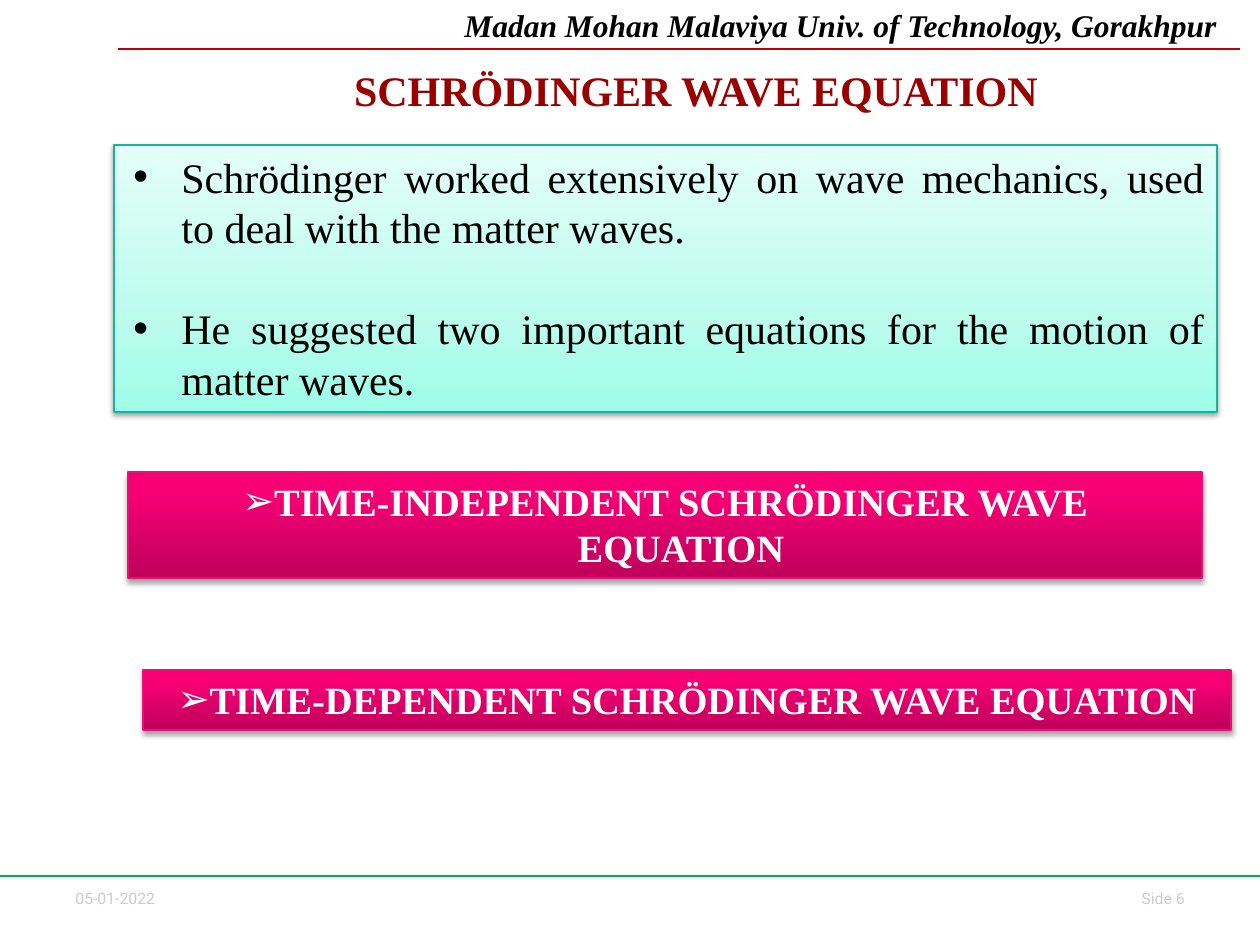
from copy import deepcopy
from pptx import Presentation
from pptx.dml.color import RGBColor
from pptx.enum.shapes import MSO_CONNECTOR as Conn, MSO_SHAPE as Kind
from pptx.enum.text import MSO_ANCHOR as Anchor, PP_ALIGN as Align
from pptx.oxml.ns import qn
from pptx.util import Pt
from lxml.etree import SubElement as sub

PX = 914400 / 126
SERIF = "Times New Roman"
MINT = [(0, "9DFDE8"), (35, "BBFCED"), (100, "E4FFF9")]
PINK = [(0, "BE005A"), (80, "F70075"), (100, "F80076")]


def px(n):
    return round(n * PX)


def hue(code):
    return RGBColor.from_string(code)


def add_run(para, text, size, color, face=SERIF, bold=False, slant=False):
    run = para.add_run()
    run.text = text
    font = run.font
    font.size, font.name = Pt(size), face
    font.bold, font.italic = bold, slant
    font.color.rgb = hue(color)


def label(slide, box, text, size, color, align=Align.LEFT, **look):
    shape = slide.shapes.add_textbox(*map(px, box))
    frame = shape.text_frame
    frame.word_wrap = True
    frame.vertical_anchor = Anchor.MIDDLE
    para = frame.paragraphs[0]
    para.alignment = align
    add_run(para, text, size, color, **look)


def rule(slide, left, right, y, color):
    line = slide.shapes.add_connector(Conn.STRAIGHT, px(left), px(y), px(right), px(y))
    line.line.color.rgb = hue(color)
    line.line.width = Pt(0.75)
    sub(line._element.spPr, qn("a:effectLst"))


def shade(shape, stops):
    fill = shape.fill
    fill.gradient()
    fill.gradient_angle = 90
    first = shape._element.spPr.find(".//" + qn("a:gs"))
    first.addnext(deepcopy(first))
    for stop, (pos, color) in zip(fill.gradient_stops, stops):
        stop.position = pos / 100
        stop.color.rgb = hue(color)


def cast(shape, alpha, dist):
    shape.shadow.inherit = False
    glow = shape._element.spPr.find(qn("a:effectLst"))
    drop = sub(glow, qn("a:outerShdw"), blurRad=str(Pt(3.1)), dist=str(Pt(dist)),
               dir="5400000", rotWithShape="0")
    tone = sub(drop, qn("a:srgbClr"), val="000000")
    sub(tone, qn("a:alpha"), val=str(alpha * 1000))


def bullet(para, mark, left, hang):
    props = para._p.get_or_add_pPr()
    props.set("marL", str(px(left)))
    props.set("indent", str(px(-hang)))
    sub(props, qn("a:buFont"), typeface="Arial")
    sub(props, qn("a:buChar"), char=mark)


def panel(slide, box, stops, edge, alpha, dist):
    shape = slide.shapes.add_shape(Kind.RECTANGLE, *map(px, box))
    shade(shape, stops)
    shape.line.color.rgb = hue(edge)
    shape.line.width = Pt(0.75)
    cast(shape, alpha, dist)
    frame = shape.text_frame
    frame.word_wrap = True
    frame.vertical_anchor = Anchor.TOP
    return frame


def facts(slide, box, items):
    frame = panel(slide, box, MINT, "16B39E", 38, 1.6)
    for i, text in enumerate(items):
        para = frame.add_paragraph() if i else frame.paragraphs[0]
        para.alignment = Align.JUSTIFY
        para.space_before = Pt(29 if i else 0)
        bullet(para, "•", 55, 48)
        add_run(para, text, 24, "000000")


def banner(slide, box, text, hang):
    frame = panel(slide, box, PINK, "EA0F77", 35, 1.8)
    para = frame.paragraphs[0]
    para.alignment = Align.CENTER
    bullet(para, "➢", hang, hang)
    add_run(para, text, 22, "FFFFFF", bold=True)


def header(slide):
    label(slide, (452, 0, 808, 50), "Madan Mohan Malaviya Univ. of Technology, Gorakhpur",
          18, "000000", bold=True, slant=True)
    rule(slide, 118, 1240, 49, "C00000")
    label(slide, (213, 55, 966, 69), "SCHRÖDINGER WAVE EQUATION",
          24, "990000", Align.CENTER, bold=True)


def footer(slide):
    rule(slide, 0, 1260, 876, "00B050")
    label(slide, (63, 882, 130, 32), "05-01-2022", 9, "CCCCCC", face="Roboto")
    label(slide, (1092, 882, 105, 32), "Side 6", 9, "CCCCCC", Align.RIGHT, face="Roboto")


def main():
    deck = Presentation()
    deck.slide_width, deck.slide_height = px(1260), px(945)
    slide = deck.slides.add_slide(deck.slide_layouts[6])
    header(slide)
    facts(slide, (114, 145, 1103, 267), [
        "Schrödinger worked extensively on wave mechanics, used to deal with the matter waves.",
        "He suggested two important equations for the motion of matter waves.",
    ])
    banner(slide, (128, 472, 1074, 106), "TIME-INDEPENDENT SCHRÖDINGER WAVE EQUATION", 32)
    banner(slide, (143, 670, 1088, 60), "TIME-DEPENDENT SCHRÖDINGER WAVE EQUATION", 0)
    footer(slide)
    deck.save("out.pptx")


if __name__ == "__main__":
    main()
